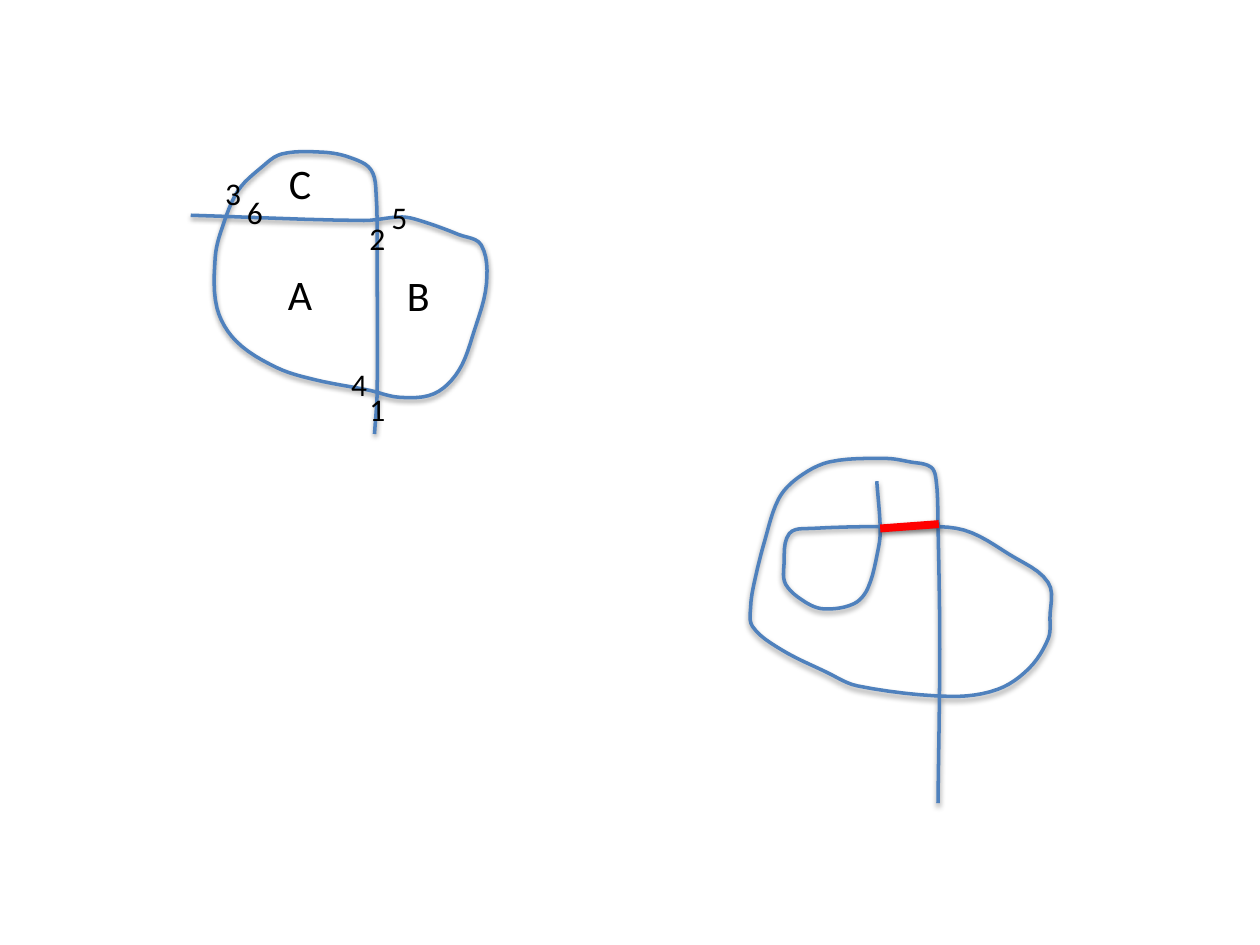
from itertools import chain

from lxml import etree
from pptx import Presentation
from pptx.dml.color import RGBColor
from pptx.enum import shapes, text
from pptx.oxml import ns
from pptx.util import Pt

BLUE = RGBColor(0x4F, 0x81, 0xBD)
RED = RGBColor(0xFF, 0x00, 0x00)
BLACK = RGBColor(0x00, 0x00, 0x00)
STEPS = 6  # straight pieces drawn between two knots of a curve


def smooth(knots):
    """Return points on a smooth curve through the knots.

    At each knot the curve runs parallel to the line between its neighbours.
    Each pair of knots is joined by a cubic Bezier whose handles are a third
    of the distance between them. Complex numbers serve as (x, y) points.
    """
    knots = [complex(x, y) for x, y in knots]
    padded = [knots[0], *knots, knots[-1]]
    points = [knots[0]]
    for before, start, end, after in zip(padded, padded[1:], padded[2:], padded[3:]):
        reach = abs(end - start) / 3
        leave = start + reach * (end - before) / abs(end - before)
        arrive = end - reach * (after - start) / abs(after - start)
        for step in range(1, STEPS + 1):
            t = step / STEPS
            s = 1 - t
            points.append(s**3 * start + 3 * s * s * t * leave
                          + 3 * s * t * t * arrive + t**3 * end)
    return [(Pt(point.real), Pt(point.imag)) for point in points]


def style_stroke(stroke, color, width):
    """Set the line and the soft shadow that falls straight below it."""
    stroke.line.color.rgb = color
    stroke.line.width = Pt(width)
    effects = etree.SubElement(stroke._element.spPr, ns.qn("a:effectLst"))
    shadow = etree.SubElement(
        effects, ns.qn("a:outerShdw"), blurRad=str(Pt(3.1)),
        dist=str(Pt(1.6)), dir="5400000", rotWithShape="0")
    shade = etree.SubElement(shadow, ns.qn("a:srgbClr"), val="000000")
    etree.SubElement(shade, ns.qn("a:alpha"), val="38000")


prs = Presentation()
prs.slide_width, prs.slide_height = Pt(720), Pt(540)
slide = prs.slides.add_slide(prs.slide_layouts[6])

# Each curve is one stroke: up the stem, round counter-clockwise, then back
# to the left along the crossbar. Knots are in points, in drawing order.
labelled_curve = {
    "stem": [(214, 248), (215.5, 225), (215.5, 150), (215, 112)],
    "arch": [(212, 97), (200, 90), (185, 87), (161, 88), (149, 96)],
    "left side": [(136, 109), (127, 130), (123, 147), (124, 176), (135, 195)],
    "bottom": [(158, 210), (180, 217), (211, 223), (228, 227), (248, 225)],
    "right side": [(262, 212), (271, 189), (278, 162), (275, 140)],
    "crossbar": [(262, 134), (243, 127), (230, 124), (208, 126), (109, 123)],
}
looped_curve = {
    "stem": [(536, 459), (537, 371), (536, 299), (535, 275)],
    "arch": [(532, 267), (520, 264), (506, 262), (474, 264), (456, 273)],
    "left side": [(445, 285), (437, 309), (431, 333), (429, 346), (430, 358)],
    "bottom": [(446, 371), (472, 384), (490, 392), (543, 398), (570, 394)],
    "right side": [(588, 382), (599, 365), (600, 353), (599, 333)],
    "crossbar": [(577, 317), (551, 303), (523, 301), (464, 302)],
    "inner loop": [(451, 305), (448, 323), (449, 334), (460, 344), (471, 348),
                   (488, 345), (496, 336), (502, 313), (503, 302), (501, 275)],
}
for parts in (labelled_curve, looped_curve):
    start, *rest = smooth(chain.from_iterable(parts.values()))
    builder = slide.shapes.build_freeform(*start)
    builder.add_line_segments(rest, close=False)
    curve = builder.convert_to_shape()
    curve.fill.background()
    style_stroke(curve, BLUE, 2)

# The stretch of crossbar between the inner loop and the stem
red_edge = slide.shapes.add_connector(
    shapes.MSO_CONNECTOR.STRAIGHT, Pt(503), Pt(302), Pt(536.5), Pt(299.5))
style_stroke(red_edge, RED, 4.5)

# Small numbers mark the crossings, large letters name the regions
crossings = {"1": (204, 219.5), "2": (204, 121.5), "3": (121.5, 96),
             "4": (193.5, 205), "5": (216.5, 109.5), "6": (134, 107)}
regions = {"A": (157.5, 150), "B": (225.5, 150.5), "C": (158, 86.5)}
for labels, width, height, size, wrap in (
        (crossings, 24, 29, 18, False), (regions, 44, 36, 24, True)):
    for label, (left, top) in labels.items():
        frame = slide.shapes.add_textbox(
            Pt(left), Pt(top), Pt(width), Pt(height)).text_frame
        frame.word_wrap = wrap
        frame.auto_size = text.MSO_AUTO_SIZE.SHAPE_TO_FIT_TEXT
        frame.text = label
        font = frame.paragraphs[0].font
        font.name = "Calibri"
        font.size = Pt(size)
        font.color.rgb = BLACK

prs.save("out.pptx")
